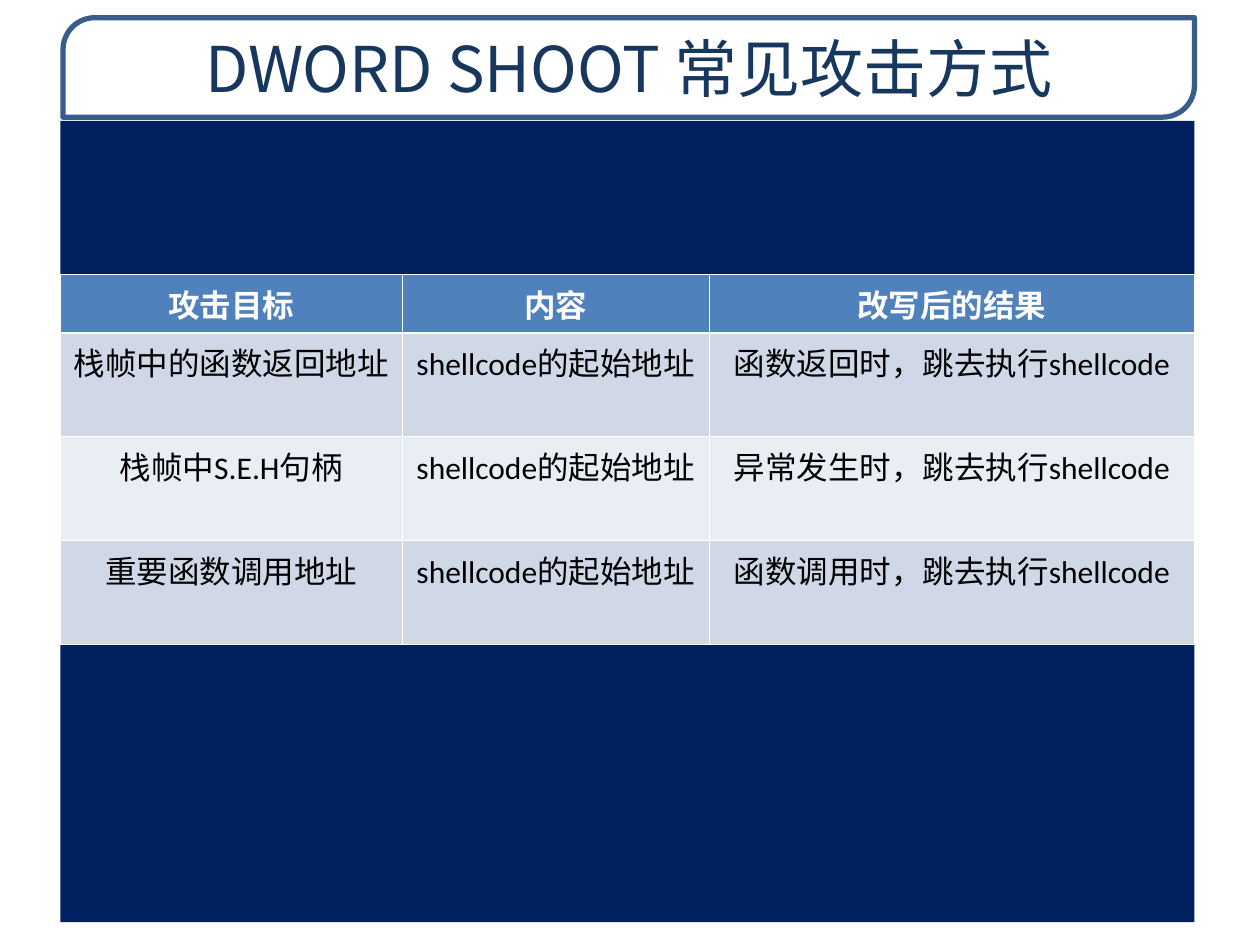
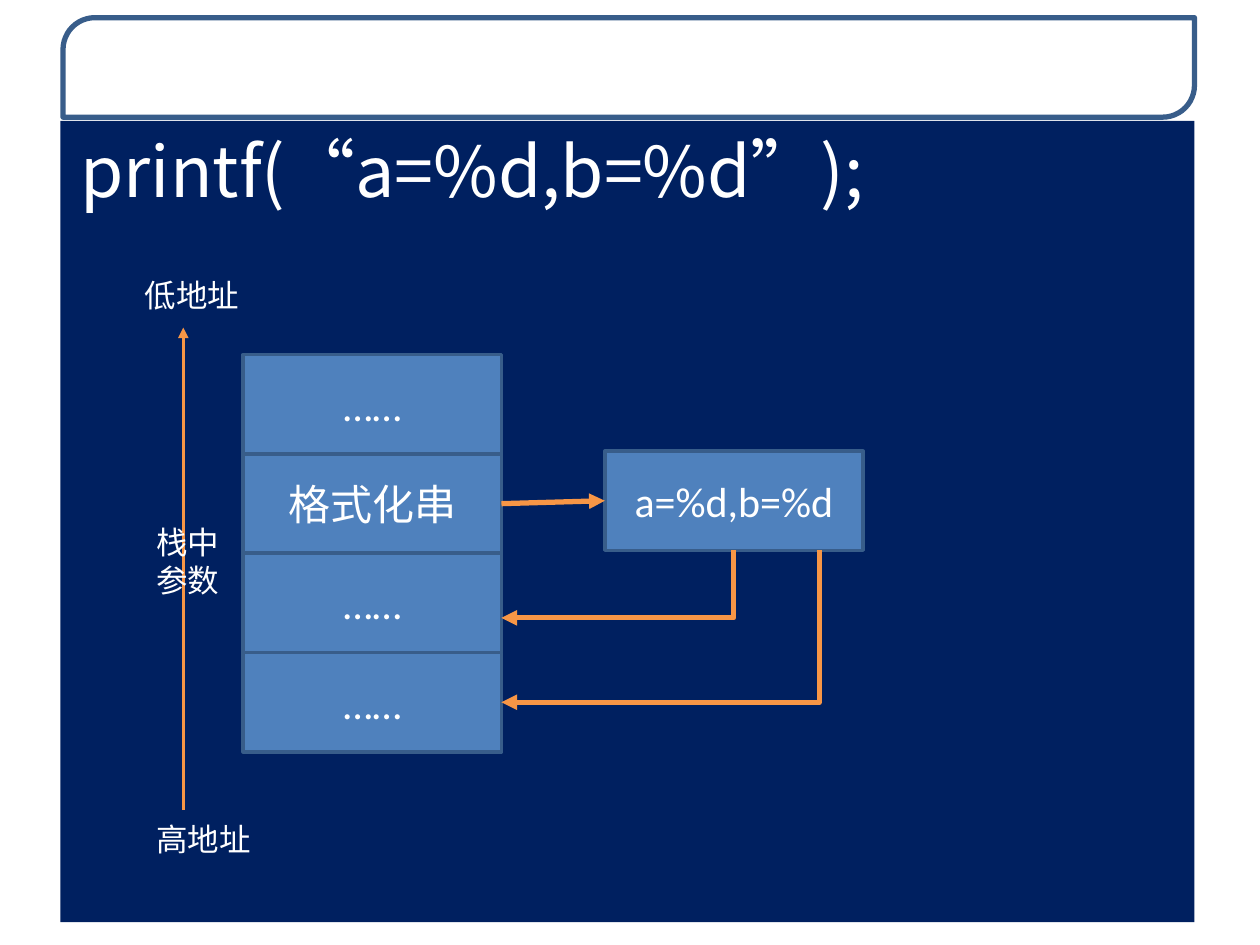
from dataclasses import dataclass

from lxml import etree
from pptx import Presentation
from pptx import util as u
from pptx.dml.color import RGBColor
from pptx.enum import lang, shapes, text
from pptx.oxml import parse_xml
from pptx.oxml.ns import nsdecls, qn

WHITE, BLACK, NAVY, TITLE_BLUE = "FFFFFF", "000000", "002060", "17375E"
BLUE, EDGE, ORANGE = "4F81BD", "385D8A", "F79646"
ROW_TINTS = ("E9EDF4", "D0D8E8")
CJK, LATIN, LABEL_FONT = "Noto Sans CJK SC", "Calibri", "Arial"
CENTER, MIDDLE = text.PP_ALIGN.CENTER, text.MSO_ANCHOR.MIDDLE
RECTANGLE = shapes.MSO_SHAPE.RECTANGLE


@dataclass
class Box:
    left: float
    top: float
    width: float
    height: float
    columns: float = 1
    rows: float = 1

    def point(self, column, row):
        return (self.left + self.width * column / self.columns,
                self.top + self.height * row / self.rows)

    def area(self, column, row, columns, rows):
        return Box(*self.point(column, row), self.width * columns / self.columns,
                   self.height * rows / self.rows)

    def lengths(self):
        return [u.Inches(value) for value in (self.left, self.top, self.width, self.height)]


TITLE = Box(0.5, 0.14, 8.98, 0.79)
PANEL = Box(0.48, 0.96, 9, 6.36, columns=36, rows=24)


def color(value):
    return RGBColor.from_string(value)


def apply(target, values):
    for name, value in values.items():
        setattr(target, name, value)


def write(frame, content, size, font, fill, east_asian=CJK, bold=False, **paragraph_format):
    for index, line in enumerate(content.split("\n")):
        paragraph = frame.add_paragraph() if index else frame.paragraphs[0]
        apply(paragraph, paragraph_format)
        run = paragraph.add_run()
        run.text = line
        apply(run.font, {"size": u.Pt(size), "name": font, "bold": bold})
        run.font.color.rgb = color(fill)
        etree.SubElement(run._r.get_or_add_rPr(), qn("a:ea"), typeface=east_asian)


def add_block(slide, box, fill, line=None, line_width=2, preset=RECTANGLE):
    shape = slide.shapes.add_shape(preset, *box.lengths())
    shape.shadow.inherit = False
    shape.fill.solid()
    shape.fill.fore_color.rgb = color(fill)
    if line:
        shape.line.color.rgb = color(line)
        shape.line.width = u.Pt(line_width)
    else:
        shape.line.fill.background()
    return shape


def add_arrow(slide, start, end, width, kind=shapes.MSO_CONNECTOR.STRAIGHT):
    arrow = slide.shapes.add_connector(kind, *(u.Inches(value) for value in (*start, *end)))
    arrow.line.color.rgb = color(ORANGE)
    arrow.line.width = u.Pt(width)
    properties = arrow._element.spPr
    etree.SubElement(properties.find(qn("a:ln")), qn("a:tailEnd"), type="triangle")
    etree.SubElement(properties, qn("a:effectLst"))
    if kind == shapes.MSO_CONNECTOR.ELBOW:
        guides = properties.find(qn("a:prstGeom")).get_or_add_avLst()
        etree.SubElement(guides, qn("a:gd"), name="adj1", fmla="val 0")
    return arrow


def add_label(slide, box, content):
    frame = slide.shapes.add_textbox(*box.lengths()).text_frame
    frame.word_wrap = False
    write(frame, content, 18, LABEL_FONT, WHITE, line_spacing=u.Pt(21.6))


def add_title(slide, box, content):
    frame_shape = add_block(slide, box, WHITE, EDGE, 3,
                            shapes.MSO_SHAPE.ROUND_2_DIAG_RECTANGLE)
    frame_shape.adjustments[0] = 0.32
    if content:
        frame = frame_shape.text_frame
        apply(frame, {"word_wrap": True, "vertical_anchor": MIDDLE})
        write(frame, content, 36, CJK, TITLE_BLUE, alignment=CENTER)


def add_slide(presentation, title=""):
    slide = presentation.slides.add_slide(presentation.slide_layouts[6])
    add_title(slide, TITLE, title)
    return slide, add_block(slide, PANEL, NAVY)


def set_borders(cell, widths):
    properties = cell._tc.get_or_add_tcPr()
    for index, (side, width) in enumerate(widths.items()):
        properties.insert(index, parse_xml(
            f'<a:ln{side} {nsdecls("a")} w="{u.Pt(width)}"><a:solidFill>'
            f'<a:srgbClr val="{WHITE}"/></a:solidFill></a:ln{side}>'))


def add_attack_table(slide, box, records, column_shares, row_shares):
    table = slide.shapes.add_table(len(records), len(column_shares), *box.lengths()).table
    for column, share in zip(table.columns, column_shares):
        column.width = u.Inches(box.width * share / sum(column_shares))
    for row, share in zip(table.rows, row_shares):
        row.height = u.Inches(box.height * share / sum(row_shares))
    for row_index, record in enumerate(records):
        header = row_index == 0
        for column_index, content in enumerate(record):
            cell = table.cell(row_index, column_index)
            cell.fill.solid()
            cell.fill.fore_color.rgb = color(BLUE if header else ROW_TINTS[row_index % 2])
            write(cell.text_frame, content, 18, LATIN, WHITE if header else BLACK,
                  bold=header, alignment=CENTER)
            set_borders(cell, {"L": 0.45, "R": 0.45,
                               "T": 1.47 if row_index == 1 else 0.45,
                               "B": 1.47 if header else 0.45})


def add_memory_cell(slide, box, content):
    cell = add_block(slide, box, BLUE, EDGE)
    apply(cell.text_frame, {"word_wrap": True, "vertical_anchor": MIDDLE})
    write(cell.text_frame, content, 24, LATIN, WHITE, LATIN, alignment=CENTER)
    return cell


def add_stack(slide, box, contents):
    box.rows = len(contents)
    return [add_memory_cell(slide, box.area(0, row, 1, 1), content)
            for row, content in enumerate(contents)]


def add_address_axis(slide, box):
    add_arrow(slide, box.point(3.9, 20.64), box.point(3.9, 6.19), 2)
    add_label(slide, box.area(2.28, 4.45, 3.8, 1.51), "低地址")
    add_label(slide, box.area(2.64, 20.75, 3.8, 1.51), "高地址")
    add_label(slide, box.area(2.64, 11.85, 2.88, 2.64), "栈中\n参数")


def add_stack_diagram(slide, box):
    stack_box = box.area(5.8, 7, 8.2, 11.9)
    format_box = box.area(17.28, 9.89, 8.2, 2.97)
    stack = add_stack(slide, stack_box, ["……", "格式化串", "……", "……"])
    add_address_axis(slide, box)
    format_cell = add_memory_cell(slide, format_box, "a=%d,b=%d")
    pointer = add_arrow(slide, stack_box.point(1, 1.5), format_box.point(0, 0.5), 3)
    pointer.begin_connect(stack[1], 3)
    pointer.end_connect(format_cell, 1)
    for share, stack_row in ((0.5, 2.65), (0.83, 3.5)):
        add_arrow(slide, format_box.point(share, 1), stack_box.point(1, stack_row), 3,
                  shapes.MSO_CONNECTOR.ELBOW)


def add_code(panel, content):
    frame = panel.text_frame
    apply(frame, {"word_wrap": True, "vertical_anchor": text.MSO_ANCHOR.TOP,
                  "margin_left": u.Inches(0.16), "margin_right": u.Inches(0.16)})
    write(frame, content, 40, CJK, WHITE, alignment=text.PP_ALIGN.JUSTIFY,
          space_before=u.Pt(10))
    paragraph = frame.paragraphs[0]
    paragraph.runs[0].font.language_id = lang.MSO_LANGUAGE_ID.SIMPLIFIED_CHINESE
    properties = paragraph._p.get_or_add_pPr()
    properties.set("marL", str(u.Inches(0.38)))
    properties.set("indent", str(-u.Inches(0.38)))


def build_attack_slide(presentation):
    slide, _ = add_slide(presentation, "DWORD SHOOT 常见攻击方式")
    start = "shellcode的起始地址"
    records = [("攻击目标", "内容", "改写后的结果"),
               ("栈帧中的函数返回地址", start, "函数返回时，跳去执行shellcode"),
               ("栈帧中S.E.H句柄", start, "异常发生时，跳去执行shellcode"),
               ("重要函数调用地址", start, "函数调用时，跳去执行shellcode")]
    add_attack_table(slide, PANEL.area(0, 4.6, 36, 9.43), records,
                     (2.71, 2.44, 3.85), (0.4, 0.7, 0.7, 0.7))


def build_format_slide(presentation):
    slide, panel = add_slide(presentation)
    add_code(panel, "printf(“a=%d,b=%d”);")
    add_stack_diagram(slide, PANEL)


def main():
    presentation = Presentation()
    apply(presentation, {"slide_width": u.Inches(10), "slide_height": u.Inches(7.5)})
    build_attack_slide(presentation)
    build_format_slide(presentation)
    presentation.save("out.pptx")


if __name__ == "__main__":
    main()
